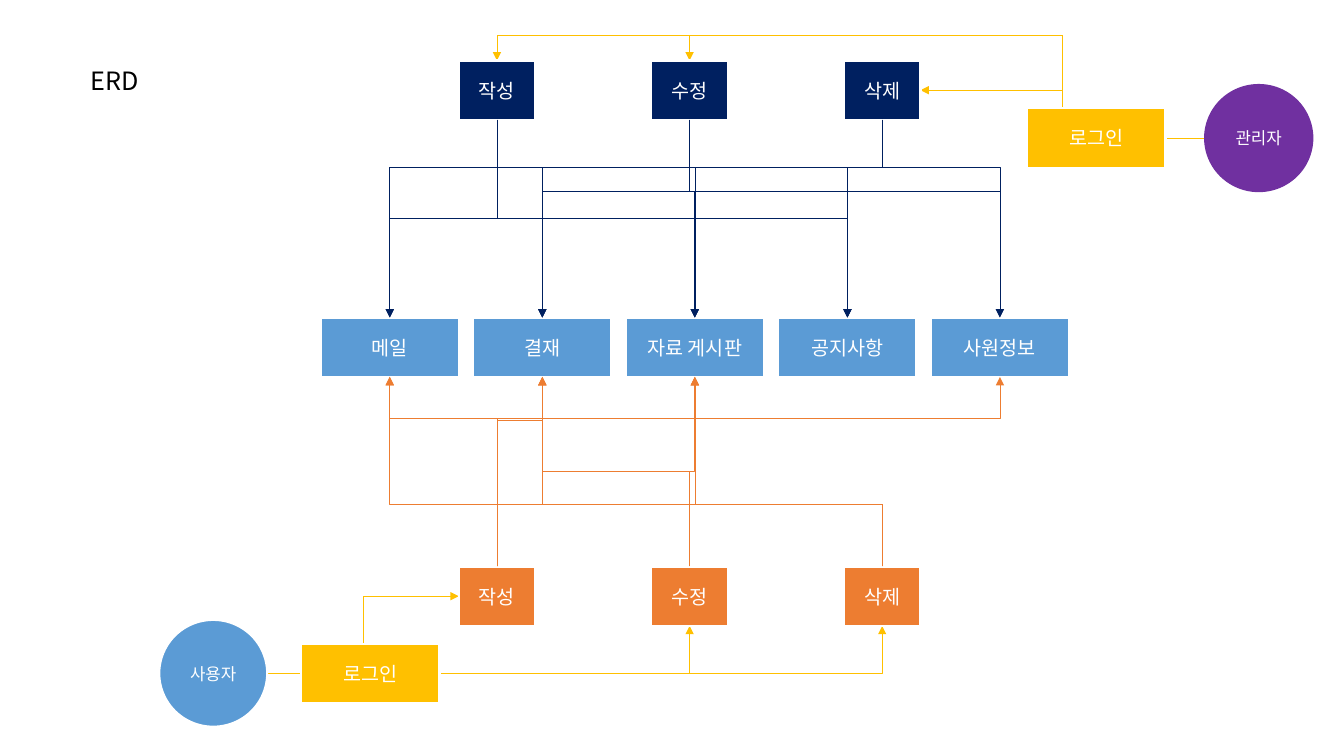
from collections import namedtuple
from lxml.etree import SubElement
from pptx import Presentation
from pptx.dml.color import RGBColor
from pptx.enum.shapes import MSO_CONNECTOR, MSO_SHAPE
from pptx.enum.text import MSO_ANCHOR, PP_ALIGN
from pptx.oxml.ns import qn
from pptx.util import Inches, Pt

FONT = "Noto Sans CJK KR"
WHITE = RGBColor(0xFF, 0xFF, 0xFF)
BLACK = RGBColor(0x00, 0x00, 0x00)
BLUE = RGBColor(0x5B, 0x9B, 0xD5)
NAVY = RGBColor(0x00, 0x20, 0x60)
GOLD = RGBColor(0xFF, 0xC0, 0x00)
ORANGE = RGBColor(0xED, 0x7D, 0x31)
PURPLE = RGBColor(0x70, 0x30, 0xA0)

WIDE, HIGH = Inches(13.33), Inches(7.5)
COLS = ROWS = 100
CELL = 7.87
ACTS = ["작성", "수정", "삭제"]
ITEMS = ["메일", "결재", "자료 게시판", "공지사항", "사원정보"]


class Box(namedtuple("Box", "x y w h")):
    @property
    def left(self):
        return self.x, self.y + self.h / 2

    @property
    def right(self):
        return self.x + self.w, self.y + self.h / 2

    @property
    def top(self):
        return self.x + self.w / 2, self.y

    @property
    def base(self):
        return self.x + self.w / 2, self.y + self.h


def place(x, y):
    return round(x * WIDE / COLS), round(y * HIGH / ROWS)


def write(frame, text, size, color, align):
    frame.text = text
    frame.word_wrap = True
    frame.vertical_anchor = MSO_ANCHOR.MIDDLE
    para = frame.paragraphs[0]
    para.alignment = align
    font = para.font
    font.name, font.size = FONT, Pt(size)
    font.color.rgb = color
    SubElement(font._element, qn("a:ea"), typeface=FONT)


def node(slide, box, text, fill, size=14, kind=MSO_SHAPE.RECTANGLE, edge=WHITE, thick=1.5):
    shape = slide.shapes.add_shape(kind, *place(box.x, box.y), *place(box.w, box.h))
    shape.shadow.inherit = False
    shape.fill.solid()
    shape.fill.fore_color.rgb = fill
    shape.line.color.rgb = edge
    shape.line.width = Pt(thick)
    write(shape.text_frame, text, size, WHITE, PP_ALIGN.CENTER)


def link(slide, start, end, color, bends=(), turned=False):
    (ax, ay), (bx, by) = place(*start), place(*end)
    wide, high = abs(bx - ax), abs(by - ay)
    left, up = bx < ax, by < ay
    if turned:
        wide, high = high, wide
        angle = 270 if left == up else 90
        flips = not left, up
    else:
        angle = 180 if left and up else 0
        flips = left and not up, up and not left
    line = slide.shapes.add_connector(MSO_CONNECTOR.ELBOW, 0, 0, wide, high)
    line.left = (ax + bx - wide) // 2
    line.top = (ay + by - high) // 2
    line.line.color.rgb = color
    line.line.width = Pt(0.5)
    props = line._element.spPr
    frame = props.find(qn("a:xfrm"))
    frame.set("rot", str(angle * 60000))
    for name, flip in zip(("flipH", "flipV"), flips):
        if flip:
            frame.set(name, "1")
    shape = props.find(qn("a:prstGeom"))
    shape.set("prst", f"bentConnector{len(bends) + 2}")
    guides = shape.find(qn("a:avLst"))
    for i, bend in enumerate(bends, 1):
        SubElement(guides, qn("a:gd"), name=f"adj{i}", fmla=f"val {round(bend * 100000)}")
    SubElement(props.find(qn("a:ln")), qn("a:tailEnd"), type="triangle")
    SubElement(props, qn("a:effectLst"))


def split(box, count, gap):
    width = (box.w - gap * (count - 1)) / count
    return [Box(box.x + i * (width + gap), box.y, width, box.h) for i in range(count)]


def row(slide, boxes, labels, fill):
    for box, label in zip(boxes, labels):
        node(slide, box, label, fill)


def person(slide, box, name, fill, edge, thick, acts, admin):
    disc, door = 8.03, 10.28
    round_x = box.x + box.w - disc if admin else box.x
    door_x = box.x if admin else box.x + box.w - door
    ring = Box(round_x, box.y, disc, box.h)
    gate = Box(door_x, box.y + (box.h - CELL) / 2, door, CELL)
    if admin:
        start, (stop, _) = ring.left, acts[2].right
        middle = (start[0] + stop) / 2
        roof = 4.67
        for act in acts[:2]:
            end = act.top
            across = (start[0] - middle) / (start[0] - end[0])
            above = (start[1] - roof) / (start[1] - end[1])
            link(slide, start, end, GOLD, (across, above))
        link(slide, start, acts[2].right, GOLD, (0.5,))
    else:
        link(slide, ring.right, acts[0].left, GOLD, (0.5,))
        for act in acts[1:]:
            link(slide, ring.right, act.base, GOLD)
    node(slide, ring, name, fill, 12, MSO_SHAPE.OVAL, edge, thick)
    node(slide, gate, "로그인", GOLD)


def wire(slide, starts, ends, color, plan):
    for act, bend, items in plan:
        for item in items:
            link(slide, starts[act], ends[item], color, (bend,), True)


def head(slide, box, text):
    title = slide.shapes.title
    title.left, title.top = place(box.x, box.y)
    title.width, title.height = place(box.w, box.h)
    write(title.text_frame, text, 18, BLACK, PP_ALIGN.LEFT)


def chart(slide, box):
    def part(x, y, w, h):
        return Box(box.x + x * box.w / COLS, box.y + y * box.h / ROWS,
                   w * box.w / COLS, h * box.h / ROWS)

    upper = split(part(34.13, 8, 34.36, CELL), 3, 8.63)
    lower = split(part(34.13, 74.93, 34.36, CELL), 3, 8.63)
    items = split(part(23.86, 42, 55.68, CELL), 5, 1.07)

    person(slide, part(76.44, 11.2, 21.23, 14.13), "관리자", PURPLE, PURPLE, 1, upper, True)
    person(slide, part(11.85, 82, 20.85, 14.13), "사용자", BLUE, WHITE, 1.5, lower, False)
    row(slide, items, ITEMS, BLUE)
    row(slide, lower, ACTS, ORANGE)
    row(slide, upper, ACTS, NAVY)
    wire(slide, [b.base for b in upper], [b.top for b in items], NAVY,
         [(0, 0.5, range(4)), (1, 0.36, range(1, 5)), (2, 0.24, range(5))])
    wire(slide, [b.top for b in lower], [b.base for b in items], ORANGE,
         [(0, 0.78, (0, 2, 4)), (0, 0.77, (1,)), (1, 0.5, (1, 2)), (2, 0.33, range(3))])


deck = Presentation()
deck.slide_width, deck.slide_height = WIDE, HIGH
page = deck.slides.add_slide(deck.slide_layouts[5])
head(page, Box(6, 8, 33.68, 5.4), "ERD")
chart(page, Box(0, 0, COLS, ROWS))
deck.save("out.pptx")
